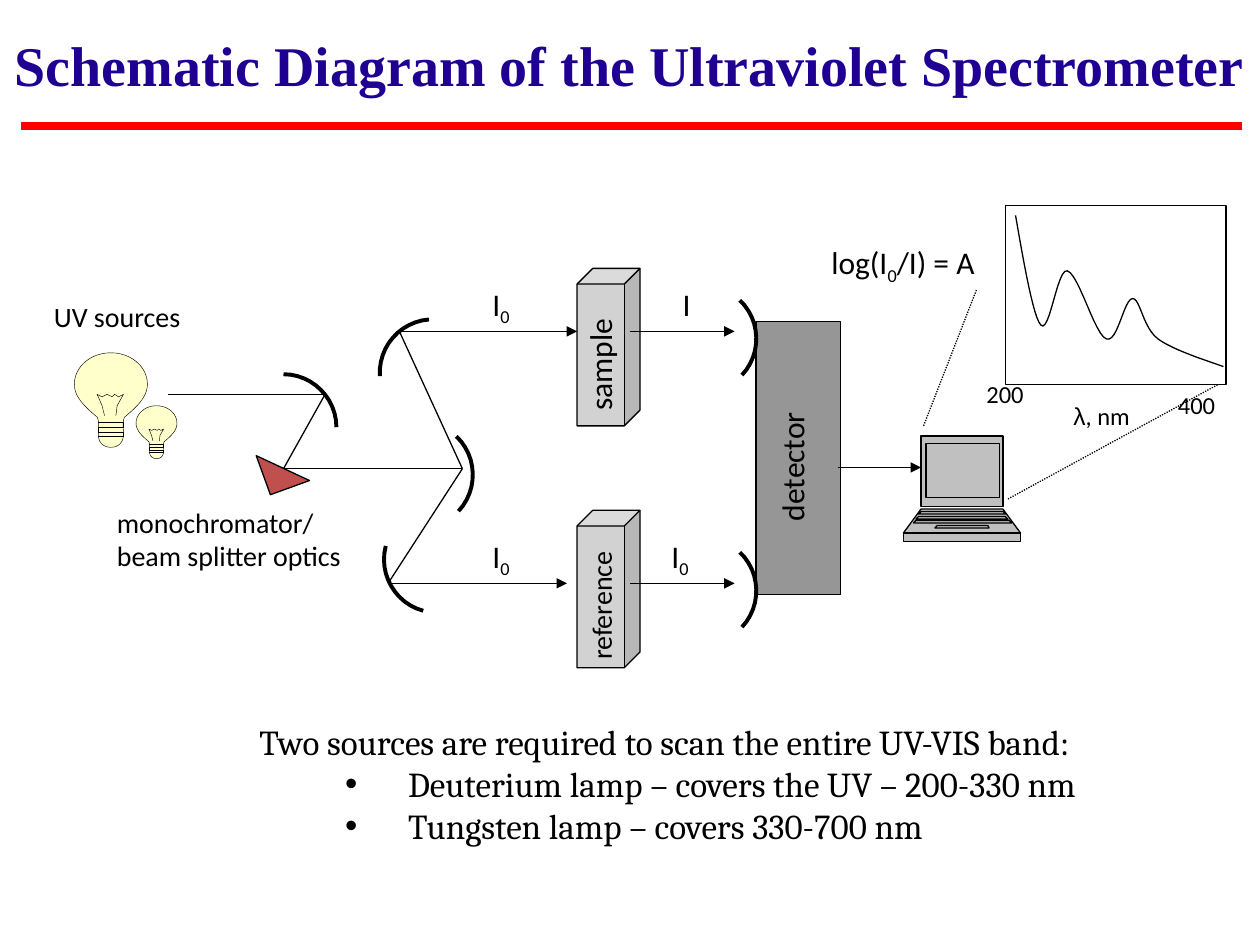
"""Build a slide with a schematic of an ultraviolet spectrometer."""
import lxml.etree
import pptx
import pptx.dml.color
import pptx.enum.dml
import pptx.enum.shapes
import pptx.enum.text
import pptx.oxml.ns
import pptx.util

PX = 9144
RGB = pptx.dml.color.RGBColor
BLACK = RGB(0x00, 0x00, 0x00)
NAVY = RGB(0x1F, 0x00, 0x92)
RED = RGB(0xFF, 0x00, 0x00)
BRICK = RGB(0xC0, 0x50, 0x4D)
CREAM = RGB(0xFF, 0xFF, 0xCC)
SILVER = RGB(0xC0, 0xC0, 0xC0)
GRAY = RGB(0x96, 0x96, 0x96)
KIND = pptx.enum.shapes.MSO_SHAPE
FIT = pptx.enum.text.MSO_AUTO_SIZE.SHAPE_TO_FIT_TEXT
qn = pptx.oxml.ns.qn

deck = pptx.Presentation()
deck.slide_width = 1000 * PX
deck.slide_height = 750 * PX
slide = deck.slides.add_slide(deck.slide_layouts[6])
shapes = slide.shapes


def draw(home, paths, width, fill=None, bend=False, shut=False):
    """Draw outlines; with bend, points form a chain of cubic curves."""
    pen = None
    for points in paths:
        if bend:
            dots = [points[0]]
            for i in range(0, len(points) - 1, 3):
                for t in [k / 12 for k in range(1, 13)]:
                    mix = ((1 - t) ** 3, 3 * t * (1 - t) ** 2, 3 * t * t * (1 - t), t ** 3)
                    dots.append([sum(m * p[axis] for m, p in zip(mix, points[i:i + 4]))
                                 for axis in (0, 1)])
            points = dots
        spots = [(x * PX, y * PX) for x, y in points]
        if pen is None:
            pen = home.build_freeform(*spots[0])
        else:
            pen.move_to(*spots[0])
        pen.add_line_segments(spots[1:], close=shut)
    shape = pen.convert_to_shape()
    shape.shadow.inherit = False
    if fill is None:
        shape.fill.background()
    else:
        shape.fill.solid()
        shape.fill.fore_color.rgb = fill
    shape.line.color.rgb = BLACK
    shape.line.width = pptx.util.Pt(width)
    return shape


def write(para, text, size, face="Calibri", color=BLACK):
    """Add one run to a paragraph."""
    run = para.add_run()
    run.text = text
    run.font.size = pptx.util.Pt(size)
    run.font.name = face
    run.font.color.rgb = color
    return run


half = [(88, 355), (95, 355), (98, 350), (98, 345), (98, 340), (97, 334), (99, 331),
        (107, 324), (117, 316), (117, 305), (117, 291), (104, 280), (88, 280)]
glass = half + [(176 - x, y) for x, y in half[-2::-1]]
wire = [(83, 330), (81, 322), (78, 315), (77, 313), (81, 315), (85, 313),
        (89, 315), (91, 313), (94, 315), (98, 313), (93, 322), (92, 330)]
screw = [(78, 335), (98, 335), (98, 339), (78, 339),
         (78, 343), (98, 343), (98, 346), (78, 346)]
for left, top, size in ((108, 322, 0.56), (59, 280, 1)):
    bulb = [[(left + (x - 59) * size, top + (y - 280) * size) for x, y in part]
            for part in (glass, wire, screw)]
    draw(shapes, bulb[:1], 0.25, CREAM, bend=True, shut=True)
    draw(shapes, bulb[1:], 0.25)

for kind, x, y, w, h, turn, fill in (
        (KIND.RIGHT_TRIANGLE, 208, 355, 33, 33, 340.1, BRICK),
        (KIND.CUBE, 458, 213, 50, 125, 0, SILVER),
        (KIND.CUBE, 458, 405, 50, 125, 0, SILVER),
        (KIND.RECTANGLE, 600, 255, 67, 217, 0, GRAY),
        (KIND.RECTANGLE, 798, 163, 175, 142, 0, None)):
    shape = shapes.add_shape(kind, x * PX, y * PX, w * PX, h * PX)
    shape.shadow.inherit = False
    shape.rotation = turn
    shape.line.color.rgb = BLACK
    shape.line.width = pptx.util.Pt(0.75)
    if fill is None:
        shape.fill.background()
    else:
        shape.fill.solid()
        shape.fill.fore_color.rgb = fill
    if kind == KIND.CUBE:
        tint = shape._element.spPr.find(qn("a:solidFill"))[0]
        lxml.etree.SubElement(tint, qn("a:alpha")).set("val", "70000")

for x, y, turn in ((225, 297, 0), (342, 355, 43.3), (300, 255, 265.9),
                   (300, 438, 195), (567, 447, 43.3), (567, 247, 43.3)):
    arc = [(x, y), (x + 23, y), (x + 42, y + 19), (x + 42, y + 42)]
    draw(shapes, [arc], 2.25, bend=True).rotation = turn

laptop = shapes.add_group_shape().shapes
for top, foot, a, b, c, d in (
        (346, 402, 731, 796, 731, 796), (404, 423, 731, 796, 717, 810),
        (423, 430, 717, 810, 717, 810), (352, 395, 735, 793, 735, 793),
        (406, 408, 731, 796, 729, 798), (417, 419, 744, 784, 742, 785),
        (410, 412, 729, 798, 727, 800), (413, 415, 727, 801, 725, 803)):
    draw(laptop, [[(a, top), (b, top), (d, foot), (c, foot)]], 0.75, SILVER, shut=True)

graph = [(806, 171), (813, 211), (820, 251), (826, 258), (833, 266), (839, 213),
         (847, 215), (856, 217), (869, 266), (878, 269), (887, 273), (892, 237),
         (899, 237), (905, 237), (907, 260), (919, 269), (931, 278), (960, 287), (971, 291)]
draw(shapes, [graph], 0.75, bend=True)

for style, ends in (
        ("plain", ((133, 313, 258, 313), (258, 313, 225, 372), (225, 372, 367, 372),
                   (367, 372, 317, 263), (367, 372, 308, 463))),
        ("arrow", ((317, 263, 458, 263), (308, 463, 450, 463), (500, 263, 583, 263),
                   (500, 463, 583, 463), (665, 371, 731, 371))),
        ("dots", ((733, 338, 775, 230), (800, 396, 967, 305))),
        ("rule", ((17, 100, 986, 100),))):
    for end in ends:
        line = shapes.add_connector(pptx.enum.shapes.MSO_CONNECTOR.STRAIGHT,
                                    *[v * PX for v in end])
        line.line.color.rgb = RED if style == "rule" else BLACK
        line.line.width = pptx.util.Pt(4.5 if style == "rule" else 0.75)
        if style == "dots":
            line.line.dash_style = pptx.enum.dml.MSO_LINE.ROUND_DOT
        props = line._element.spPr
        if style == "arrow":
            tip = lxml.etree.SubElement(props.find(qn("a:ln")), qn("a:tailEnd"))
            tip.set("type", "triangle")
        lxml.etree.SubElement(props, qn("a:effectLst"))

for text, size, x, y, w, h, turn in (
        ("sample", 18, 423, 263, 106, 40, 270), ("reference", 16, 417, 455, 120, 37, 270),
        ("detector", 18, 569, 344, 119, 40, 270), ("I_0", 18, 381, 221, 36, 40, 0),
        ("I_0", 18, 381, 421, 36, 40, 0), ("I_0", 18, 523, 421, 36, 40, 0),
        ("I", 18, 532, 221, 27, 40, 0), ("log(I_0_/I) = A", 18, 650, 188, 147, 40, 0),
        ("200", 14, 773, 296, 52, 33, 0), ("λ, nm", 14, 842, 313, 71, 33, 0),
        ("monochromator/\nbeam splitter optics", 16, 83, 396, 212, 64, 0),
        ("400", 14, 925, 305, 50, 34, 0), ("UV sources", 16, 33, 233, 122, 37, 0)):
    box = shapes.add_textbox(x * PX, y * PX, w * PX, h * PX)
    box.rotation = turn
    frame = box.text_frame
    frame.word_wrap = False
    frame.auto_size = FIT
    for row, words in enumerate(text.split("\n")):
        para = frame.add_paragraph() if row else frame.paragraphs[0]
        if words[0] == "λ":
            write(para, "λ", size, "Arial")
            words = words[1:]
        for i, piece in enumerate(words.split("_")):
            run = write(para, piece, size)
            if i == 1:
                run._r.get_or_add_rPr().set("baseline", "-25000")

title = shapes.add_textbox(0, 19 * PX, 1000 * PX, 64 * PX).text_frame
title.word_wrap = True
title.auto_size = FIT
para = title.paragraphs[0]
para.alignment = pptx.enum.text.PP_ALIGN.CENTER
write(para, "Schematic Diagram of the Ultraviolet Spectrometer", 32,
      "Times New Roman", NAVY).font.bold = True

notes = shapes.add_textbox(83 * PX, 567 * PX, 875 * PX, 111 * PX).text_frame
notes.word_wrap = True
notes.auto_size = FIT
for row, text in enumerate(("Two sources are required to scan the entire UV-VIS band:",
                            "Deuterium lamp – covers the UV – 200-330 nm",
                            "Tungsten lamp – covers 330-700 nm")):
    para = notes.add_paragraph() if row else notes.paragraphs[0]
    para.level = 2 if row else 1
    props = para._p.get_or_add_pPr()
    props.set("marL", str((231 if row else 163) * PX))
    props.set("indent", str(-50 * PX))
    if row:
        lxml.etree.SubElement(props, qn("a:buFont")).set("typeface", "Arial")
        lxml.etree.SubElement(props, qn("a:buChar")).set("char", "•")
    write(para, text, 20, "Cambria")

deck.save("out.pptx")
